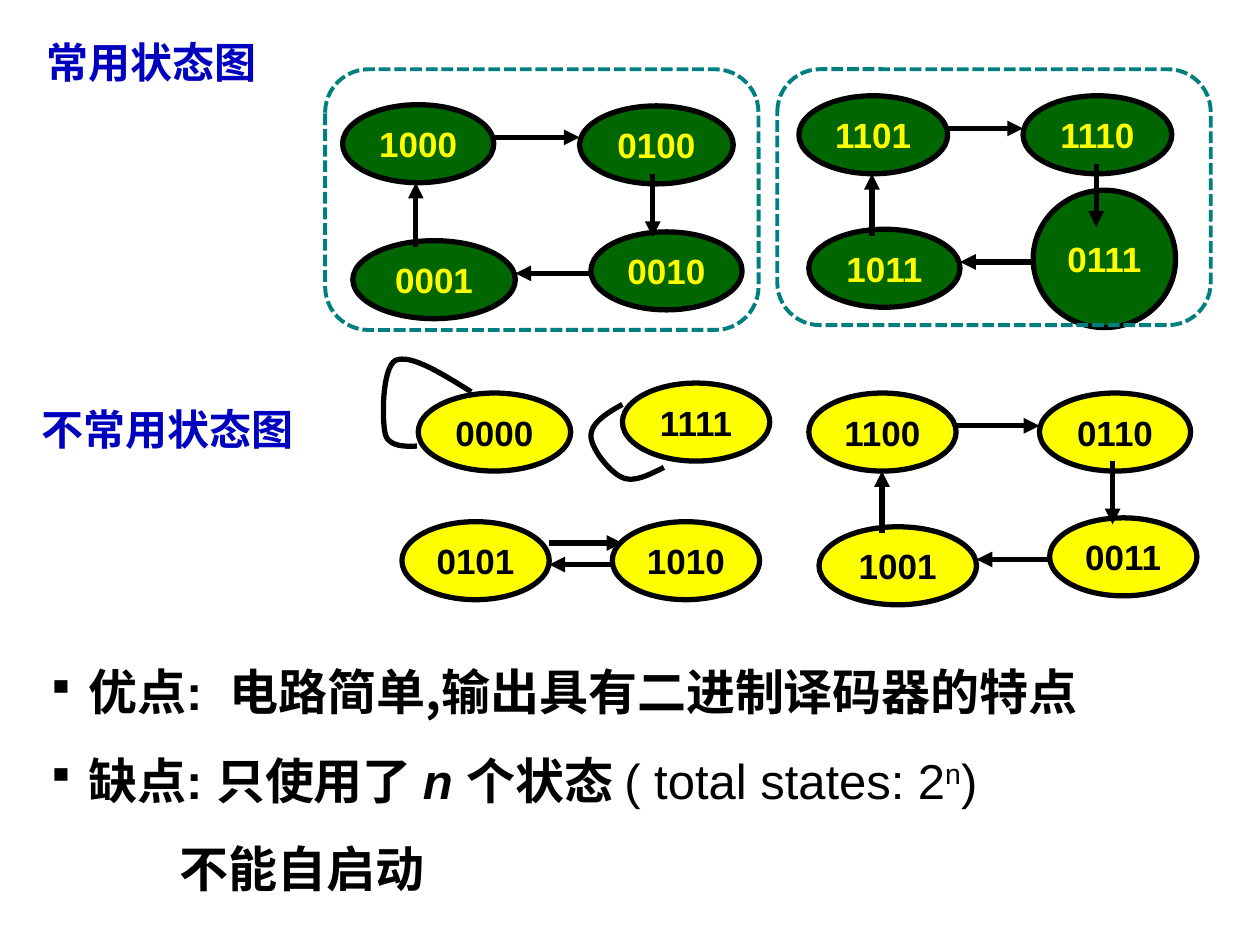
from dataclasses import dataclass
from lxml.etree import SubElement
from pptx import Presentation
from pptx.dml.color import RGBColor as RGB
from pptx.enum.dml import MSO_LINE as Dash
from pptx.enum.shapes import MSO_CONNECTOR as Conn, MSO_SHAPE as Form
from pptx.enum.text import MSO_ANCHOR as Anchor, PP_ALIGN as Align
from pptx.oxml.ns import qn
from pptx.util import Pt


@dataclass(frozen=True)
class Theme:
    ink: RGB = RGB(0, 0, 0)
    blue: RGB = RGB(0, 0, 0xBF)
    teal: RGB = RGB(0, 0x7F, 0x7F)
    green: RGB = RGB(0, 0x66, 0)
    yellow: RGB = RGB(0xFF, 0xFF, 0)
    latin: str = "Arial"
    han: str = "Noto Sans CJK SC"
    head: int = 24
    node: int = 20
    body: int = 28


THEME = Theme()
USED = (THEME.green, THEME.yellow)  # fill and text of a state
SPARE = (THEME.yellow, THEME.ink)
TALL = 44.6  # usual height of a state

# Each ring runs clockwise from top left: label, left, top, width, height
RINGS = [
    (USED, [("1000", 195.8, 59.8, 86.4, TALL), ("0100", 331.2, 60.5, 87.8, TALL),
            ("0010", 337.7, 132.5, 86.4, TALL), ("0001", 201.6, 137.5, 92.9, TALL)]),
    (SPARE, [("1100", 462.2, 224.6, 84.2, TALL), ("0110", 594, 224.6, 86.4, TALL),
             ("0011", 599.8, 295.9, 84.2, TALL), ("1001", 468, 301, 90, TALL)]),
    (USED, [("1101", 456.5, 54.7, 85, TALL), ("1110", 584.6, 54.7, 85, TALL),
            ("0111", 590.4, 108.7, 81.4, 78.5), ("1011", 462.2, 131, 86.4, TALL)]),
]
SINGLES = [("0000", 239, 224.6, 87.1, TALL), ("1111", 355.7, 218.9, 84.2, TALL),
           ("0101", 229.7, 298.1, 84.2, TALL), ("1010", 349.9, 298.1, 84.2, TALL)]

# A start point, then cubic curves of two handles and an end
LOOPS = [
    [(269.3, 223.9), (252, 213.1), (234.7, 202.3), (226.1, 205.9),
     (218.2, 210.2), (218.2, 240.5), (220.3, 248.4),
     (222.5, 256.3), (235.4, 254.9), (238.3, 254.9)],
    [(355.7, 231.1), (346.3, 236.2), (337.7, 241.9), (337.7, 249.1),
     (337.7, 256.3), (348.5, 270), (355.7, 272.9),
     (362.2, 275.8), (370.8, 271.4), (379.4, 267.1)],
]


def style(run, size, color, bold=True, han=False, italic=False):
    font = run.font
    font.size, font.bold, font.italic = Pt(size), bold, italic
    font.color.rgb = color
    font.name = THEME.han if han else THEME.latin
    SubElement(font._element, qn("a:ea"), typeface=THEME.han)


def stroke(shape, color=THEME.ink, width=3):
    shape.line.color.rgb = color
    shape.line.width = Pt(width)


def node(slide, label, x, y, w, h, look):
    fill, ink = look
    shape = slide.shapes.add_shape(Form.OVAL, Pt(x), Pt(y), Pt(w), Pt(h))
    shape.shadow.inherit = False
    shape.fill.solid()
    shape.fill.fore_color.rgb = fill
    stroke(shape)
    frame = shape.text_frame
    frame.word_wrap = False
    frame.vertical_anchor = Anchor.MIDDLE
    frame.margin_left = frame.margin_right = 0
    frame.text = label
    frame.paragraphs[0].alignment = Align.CENTER
    style(frame.paragraphs[0].runs[0], THEME.node, ink)


def arrow(slide, x1, y1, x2, y2):
    line = slide.shapes.add_connector(Conn.STRAIGHT, Pt(x1), Pt(y1), Pt(x2), Pt(y2))
    stroke(line)
    SubElement(line.line._get_or_add_ln(), qn("a:tailEnd"), type="triangle")
    SubElement(line._element.spPr, qn("a:effectLst"))


def ring(slide, look, nodes):
    """Draw four states and the arrows that lead round them."""
    for item in nodes:
        node(slide, *item, look)
    (ax, ay, aw, ah), (bx, by, _, _), (cx, _, _, _), (dx, dy, dw, _) = (
        item[1:] for item in nodes)
    side, mid = 18.7, 41.8
    arrow(slide, ax + aw, ay + side, bx, ay + side)
    arrow(slide, bx + mid, by + 38.9, bx + mid, by + 75)
    arrow(slide, cx, dy + side, dx + dw, dy + side)
    arrow(slide, ax + mid, dy + 3.6, ax + mid, ay + ah)


def curve(a, b, c, d, steps=16):
    """Yield points along one cubic curve, without its start."""
    for i in range(1, steps + 1):
        t = i / steps
        u = 1 - t
        yield tuple(Pt(u**3 * p + 3 * u * u * t * q + 3 * u * t * t * r + t**3 * s)
                    for p, q, r, s in zip(a, b, c, d))


def loop(slide, points):
    x, y = points[0]
    pen = slide.shapes.build_freeform(Pt(x), Pt(y))
    for i in range(0, len(points) - 1, 3):
        pen.add_line_segments(list(curve(*points[i:i + 4])), close=False)
    shape = pen.convert_to_shape()
    shape.shadow.inherit = False
    shape.fill.background()
    stroke(shape)


def frame(slide, x, y, w, h):
    shape = slide.shapes.add_shape(Form.ROUNDED_RECTANGLE, Pt(x), Pt(y), Pt(w), Pt(h))
    shape.shadow.inherit = False
    shape.fill.background()
    stroke(shape, THEME.teal, 2.25)
    shape.line.dash_style = Dash.SQUARE_DOT


def box(slide, x, y, w, h):
    text = slide.shapes.add_textbox(Pt(x), Pt(y), Pt(w), Pt(h)).text_frame
    text.word_wrap = True
    return text


def title(slide, words, x, y):
    text = box(slide, x, y, 181, 36)
    text.text = words
    para = text.paragraphs[0]
    para.line_spacing = Pt(31)
    style(para.runs[0], THEME.head, THEME.blue, han=True)


def bullet(para):
    props = para._p.get_or_add_pPr()
    tint = SubElement(props, qn("a:buClr"))
    SubElement(tint, qn("a:srgbClr"), val=str(THEME.ink))
    SubElement(props, qn("a:buSzPct"), val="80000")
    SubElement(props, qn("a:buChar"), char="▪")


def indent(para, left, hang=0):
    props = para._p.get_or_add_pPr()
    props.set("marL", str(Pt(left)))
    props.set("indent", str(-Pt(hang)))


def write(para, words, **look):
    run = para.add_run()
    run.text = words
    style(run, THEME.body, THEME.ink, **look)
    return run.font._element


def notes(slide):
    """Write the merits and faults below the diagrams."""
    text = box(slide, 19.4, 372.2, 669, 143.3)
    good, bad, more = text.paragraphs[0], text.add_paragraph(), text.add_paragraph()
    for para in (good, bad):
        bullet(para)
        indent(para, 24, 24)
    indent(more, 76)
    for para in (good, bad, more):
        para.line_spacing = Pt(36)
    for para in (bad, more):
        para.space_before = Pt(14.5)

    write(good, "优点", han=True)
    write(good, ": ").set("spc", "390")
    write(good, "电路简单,输出具有二进制译码器的特点", han=True)

    write(bad, "缺点", han=True)
    write(bad, ": ")
    write(bad, "只使用了 ", han=True)
    write(bad, "n ", italic=True)
    write(bad, "个状态 ", han=True)
    write(bad, "( total states: 2", bold=False)
    write(bad, "n", bold=False).set("baseline", "30000")
    write(bad, ")", bold=False)

    write(more, "不能自启动", han=True)


def main():
    deck = Presentation()
    deck.slide_width, deck.slide_height = Pt(720), Pt(540)
    slide = deck.slides.add_slide(deck.slide_layouts[6])
    title(slide, "常用状态图", 19.4, 15.1)
    title(slide, "不常用状态图", 16.6, 224.6)
    for look, nodes in RINGS:
        ring(slide, look, nodes)
    for item in SINGLES:
        node(slide, *item, SPARE)
    for points in LOOPS:
        loop(slide, points)
    arrow(slide, 313.9, 310.3, 355.7, 310.3)
    arrow(slide, 349.2, 322.6, 313.9, 322.6)
    notes(slide)
    frame(slide, 185.8, 39.6, 247.7, 149)
    frame(slide, 444.2, 39.6, 247.7, 146.2)
    deck.save("out.pptx")


if __name__ == "__main__":
    main()
